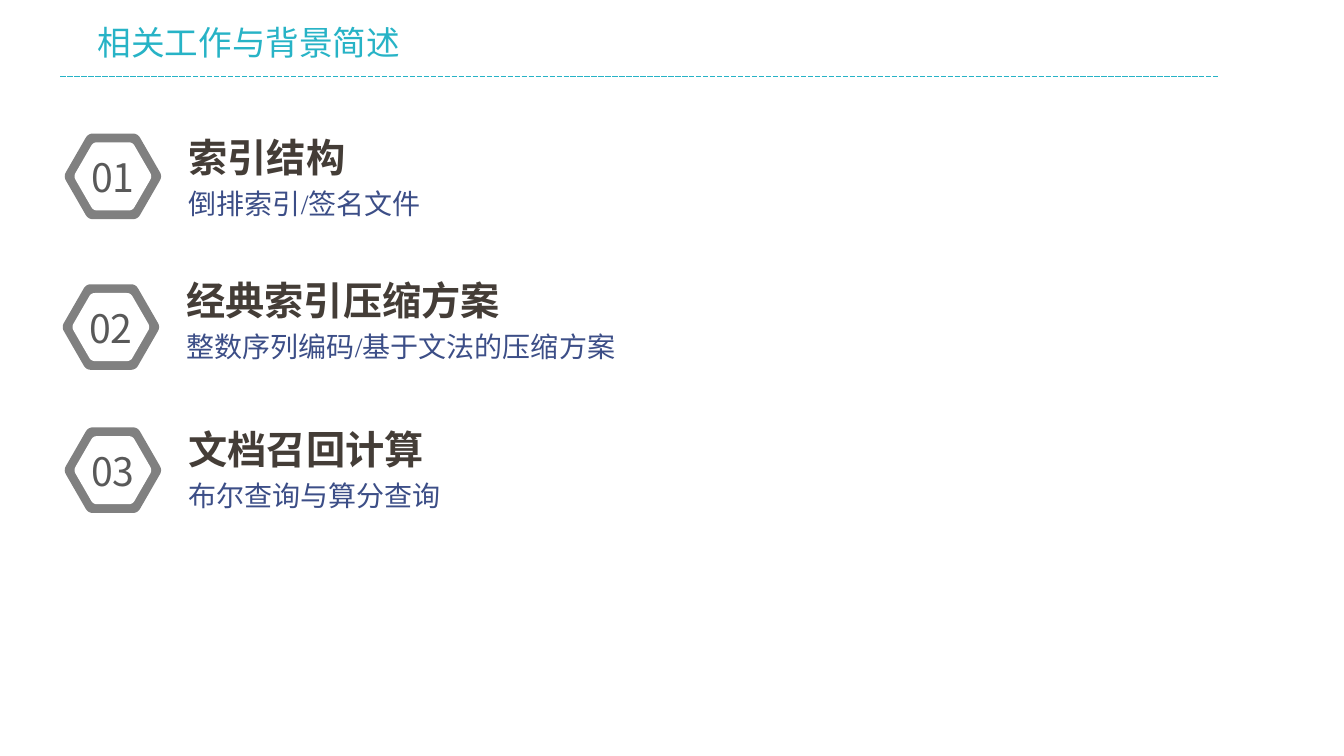
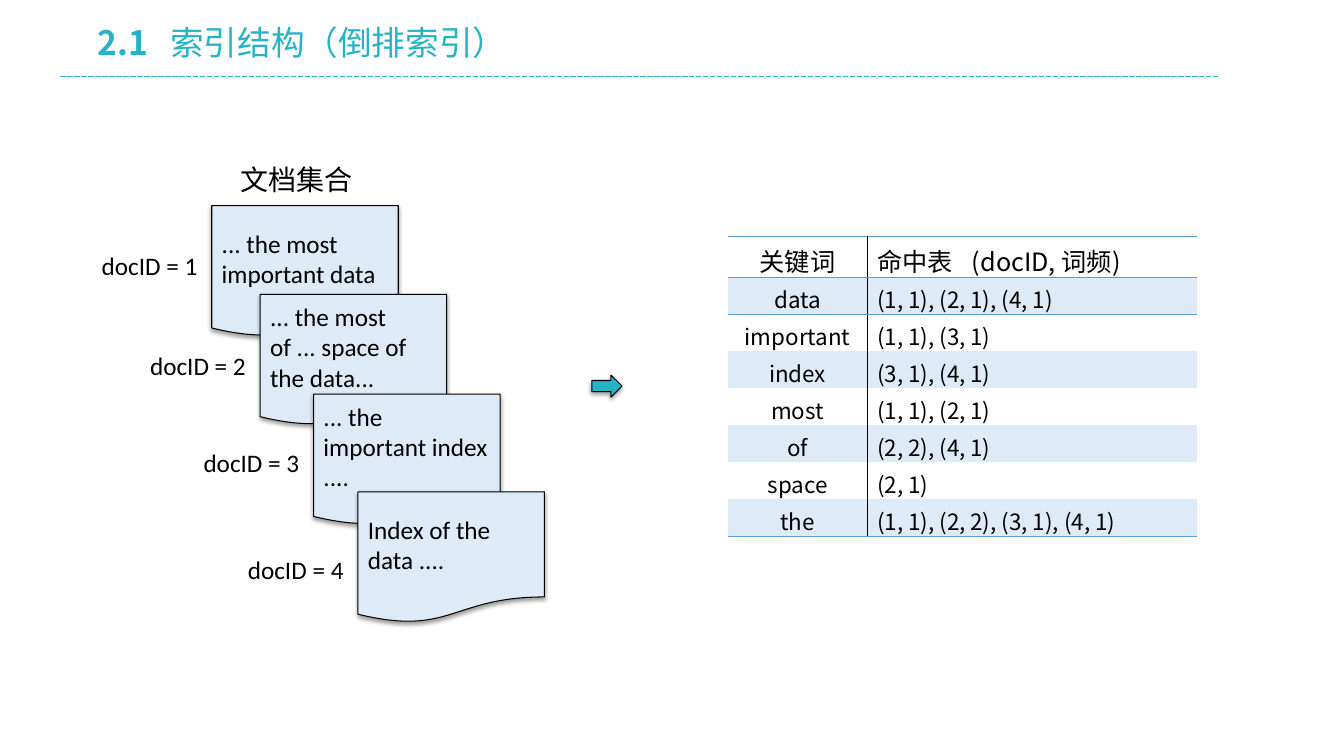
import math
import pptx
import pptx.util
import pptx.dml.color
import pptx.enum.dml
import pptx.enum.shapes
import pptx.enum.text
import pptx.oxml.ns
import lxml.etree

RGB = pptx.dml.color.RGBColor
TEAL = RGB(0x27, 0xB3, 0xC6)
GRAY = RGB(0x80, 0x80, 0x80)
SLATE = RGB(0x59, 0x59, 0x59)
BROWN = RGB(0x44, 0x3D, 0x37)
NAVY = RGB(0x3C, 0x4E, 0x87)
BLUE = RGB(0x5B, 0x9B, 0xD5)
PALE = RGB(0xDE, 0xEB, 0xF7)
BLACK = RGB(0, 0, 0)
WHITE = RGB(0xFF, 0xFF, 0xFF)
NOTO = "Noto Sans CJK SC"
CALI = "Calibri"
TIMES = "Times New Roman"
GRID = pptx.util.Inches(0.1)
COLS, ROWS = 133.3, 75
PLAIN = "{2D5ABB26-0587-4C30-8999-92F81FD0307C}"
ALIGN = pptx.enum.text.PP_ALIGN
FORM = pptx.enum.shapes.MSO_SHAPE

TOPICS = [
    ("01", "索引结构", "倒排索引/签名文件", 18.7, 13.2, 17.5),
    ("02", "经典索引压缩方案", "整数序列编码/基于文法的压缩方案", 18.5, 27.4, 32.45),
    ("03", "文档召回计算", "布尔查询与算分查询", 18.7, 42.2, 46.65),
]
DOCS = [
    ("... the most important data", 21, 20.4, 24.3),
    ("... the most of ... space of the data...", 25.8, 29.2, 34.3),
    ("... the important index ....", 31.1, 39.1, 43.9),
    ("Index of the data ....", 35.5, 48.8, 54.5),
]
HITS = [
    ("关键词", "命中表\t(docID, 词频)"),
    ("data", "(1, 1), (2, 1), (4, 1)"),
    ("important", "(1, 1), (3, 1)"),
    ("index", "(3, 1), (4, 1)"),
    ("most", "(1, 1), (2, 1)"),
    ("of", "(2, 2), (4, 1)"),
    ("space", "(2, 1)"),
    ("the", "(1, 1), (2, 2), (3, 1), (4, 1)"),
]


def grid(*cells):
    return [pptx.util.Emu(round(GRID * cell)) for cell in cells]


def node(host, tag, **attrs):
    item = lxml.etree.SubElement(host, pptx.oxml.ns.qn("a:" + tag))
    for key, val in attrs.items():
        item.set(key, str(val))
    return item


def tab(par, cell):
    stops = node(par._p.get_or_add_pPr(), "tabLst")
    node(stops, "tab", pos=grid(cell)[0], algn="l")


def style(par, size, tint, face=NOTO, bold=False, align=ALIGN.LEFT):
    par.alignment = align
    font = par.font
    font.size = pptx.util.Pt(size)
    font.bold = bold
    font.color.rgb = tint
    font.name = face
    props = par._p.pPr.find(pptx.oxml.ns.qn("a:defRPr"))
    node(props, "ea", typeface=NOTO)


def label(slide, area, text, size, tint, inset=0, wrap=True, **look):
    frame = slide.shapes.add_textbox(*grid(*area)).text_frame
    frame.word_wrap = wrap
    frame.margin_left = frame.margin_right = grid(inset)[0]
    frame.margin_top = frame.margin_bottom = grid(inset / 2)[0]
    par = frame.paragraphs[0]
    par.text = text
    style(par, size, tint, **look)
    return par


def head(slide, text, lead=""):
    rule = slide.shapes.add_connector(
        pptx.enum.shapes.MSO_CONNECTOR.STRAIGHT, *grid(6, 7.6, 121, 7.6))
    rule.line.color.rgb = TEAL
    rule.line.width = pptx.util.Pt(1.25)
    rule.line.dash_style = pptx.enum.dml.MSO_LINE.SQUARE_DOT
    node(rule._element.spPr, "effectLst")
    frame = slide.shapes.add_textbox(*grid(8.7, 2.1, 68.2, 7.9)).text_frame
    frame.word_wrap = True
    par = frame.paragraphs[0]
    par.line_spacing = 0.9
    if lead:
        tab(par, 7.2)
        run = par.add_run()
        run.text = lead + "\t"
        run.font.bold = True
    par.add_run().text = text
    style(par, 24, TEAL)


def hexa(slide, mid, row, size, tint):
    tips = [(mid + size * math.cos(math.pi * k / 3),
             row + size * math.sin(math.pi * k / 3)) for k in range(6)]
    dots = []
    for k, tip in enumerate(tips):
        ends = [[t + (o - t) * 0.1 for t, o in zip(tip, other)]
                for other in (tips[k - 1], tips[(k + 1) % 6])]
        for step in range(7):
            u = step / 6
            dots.append(grid(*[
                (1 - u) ** 2 * a + 2 * u * (1 - u) * t + u * u * b
                for a, t, b in zip(ends[0], tip, ends[1])]))
    pen = slide.shapes.build_freeform(*dots[0])
    pen.add_line_segments(dots[1:], close=True)
    shape = pen.convert_to_shape()
    shape.shadow.inherit = False
    shape.fill.solid()
    shape.fill.fore_color.rgb = tint
    shape.line.fill.background()


def topic(slide, num, name, note, left, top, row):
    mid = left - 7.5
    hexa(slide, mid, row, 4.9, GRAY)
    hexa(slide, mid, row, 3.9, WHITE)
    label(slide, (mid - 2.5, row - 2.3, 5, 4.7), num, 28, SLATE,
          align=ALIGN.CENTER)
    label(slide, (left, top, 97.2, 4.6), name, 28, BROWN, bold=True)
    par = label(slide, (left, top + 5, 82, 3.4), note, 20, NAVY,
                face=TIMES, align=ALIGN.JUSTIFY)
    par.line_spacing = pptx.util.Pt(26)


def block(slide, form, area, tint):
    shape = slide.shapes.add_shape(form, *grid(*area))
    shape.fill.solid()
    shape.fill.fore_color.rgb = tint
    shape.line.color.rgb = BLACK
    shape.line.width = pptx.util.Pt(0.75)
    shape.shadow.inherit = False
    glow = shape._element.spPr.find(pptx.oxml.ns.qn("a:effectLst"))
    shade = node(glow, "outerShdw", blurRad=40000, dist=20000,
                 dir=5400000, rotWithShape=0)
    node(node(shade, "srgbClr", val=BLACK), "alpha", val=38000)
    return shape


def paper(slide, num, text, left, top, row):
    frame = block(slide, FORM.FLOWCHART_DOCUMENT,
                  (left, top, 18.5, 13), PALE).text_frame
    frame.word_wrap = True
    frame.vertical_anchor = pptx.enum.text.MSO_ANCHOR.MIDDLE
    par = frame.paragraphs[0]
    par.text = text
    style(par, 18, BLACK, CALI)
    label(slide, (left - 11.9, row, 11.9, 4), f"docID = {num}", 18, BLACK,
          inset=1, wrap=False, face=CALI)


def edge(cell, side, tint):
    line = node(cell._tc.get_or_add_tcPr(), "ln" + side, w=12700)
    node(node(line, "solidFill"), "srgbClr", val=tint)


def chart(slide, data):
    table = slide.shapes.add_table(
        len(data), 2, *grid(72.2, 23.5, 46.5, 3.4 * len(data))).table
    table.first_row = table.horz_banding = False
    table._tbl.tblPr.find(pptx.oxml.ns.qn("a:tableStyleId")).text = PLAIN
    for col, wide in zip(table.columns, grid(13.8, 32.7)):
        col.width = wide
    for r, words in enumerate(data):
        for c, text in enumerate(words):
            cell = table.cell(r, c)
            edge(cell, "RL"[c], BLACK)
            if r < 2:
                edge(cell, "T", BLUE)
            if r in (0, len(data) - 1):
                edge(cell, "B", BLUE)
            if r % 2:
                cell.fill.solid()
                cell.fill.fore_color.rgb = PALE
            else:
                cell.fill.background()
            par = cell.text_frame.paragraphs[0]
            par.text = text
            if "\t" in text:
                tab(par, 9.4)
            style(par, 16 if r else 18, BLACK,
                  align=ALIGN.LEFT if c else ALIGN.CENTER)


def main():
    deck = pptx.Presentation()
    deck.slide_width, deck.slide_height = grid(COLS, ROWS)
    blank = deck.slide_layouts[6]

    slide = deck.slides.add_slide(blank)
    head(slide, "相关工作与背景简述")
    for item in TOPICS:
        topic(slide, *item)

    slide = deck.slides.add_slide(blank)
    head(slide, "索引结构（倒排索引）", "2.1")
    label(slide, (22.8, 15.6, 13.2, 4.4), "文档集合", 20, BLACK,
          inset=1, wrap=False, align=ALIGN.CENTER)
    for num, item in enumerate(DOCS, 1):
        paper(slide, num, *item)
    block(slide, FORM.RIGHT_ARROW, (58.7, 37.2, 3, 2.2), TEAL)
    chart(slide, HITS)

    deck.save("out.pptx")


if __name__ == "__main__":
    main()
